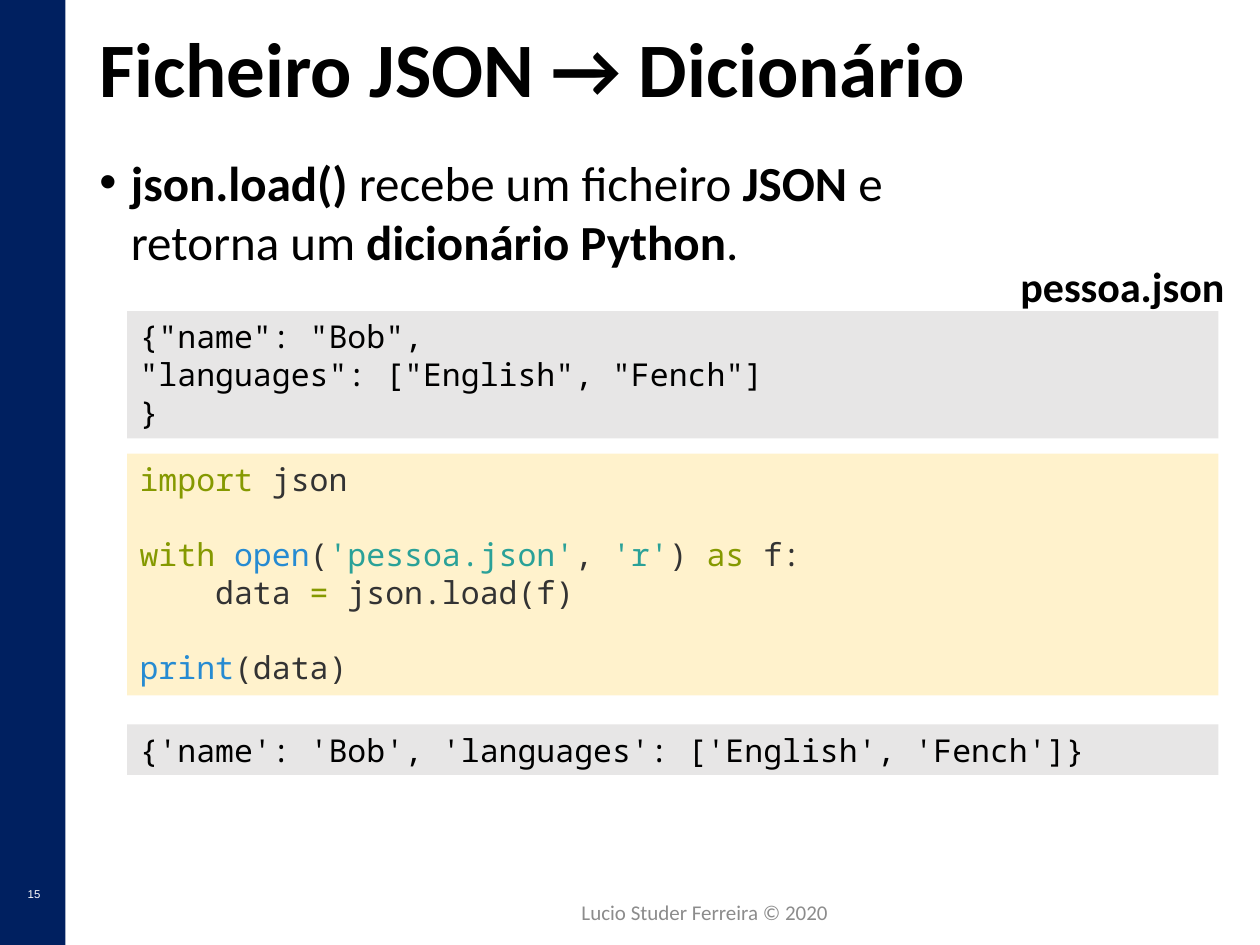
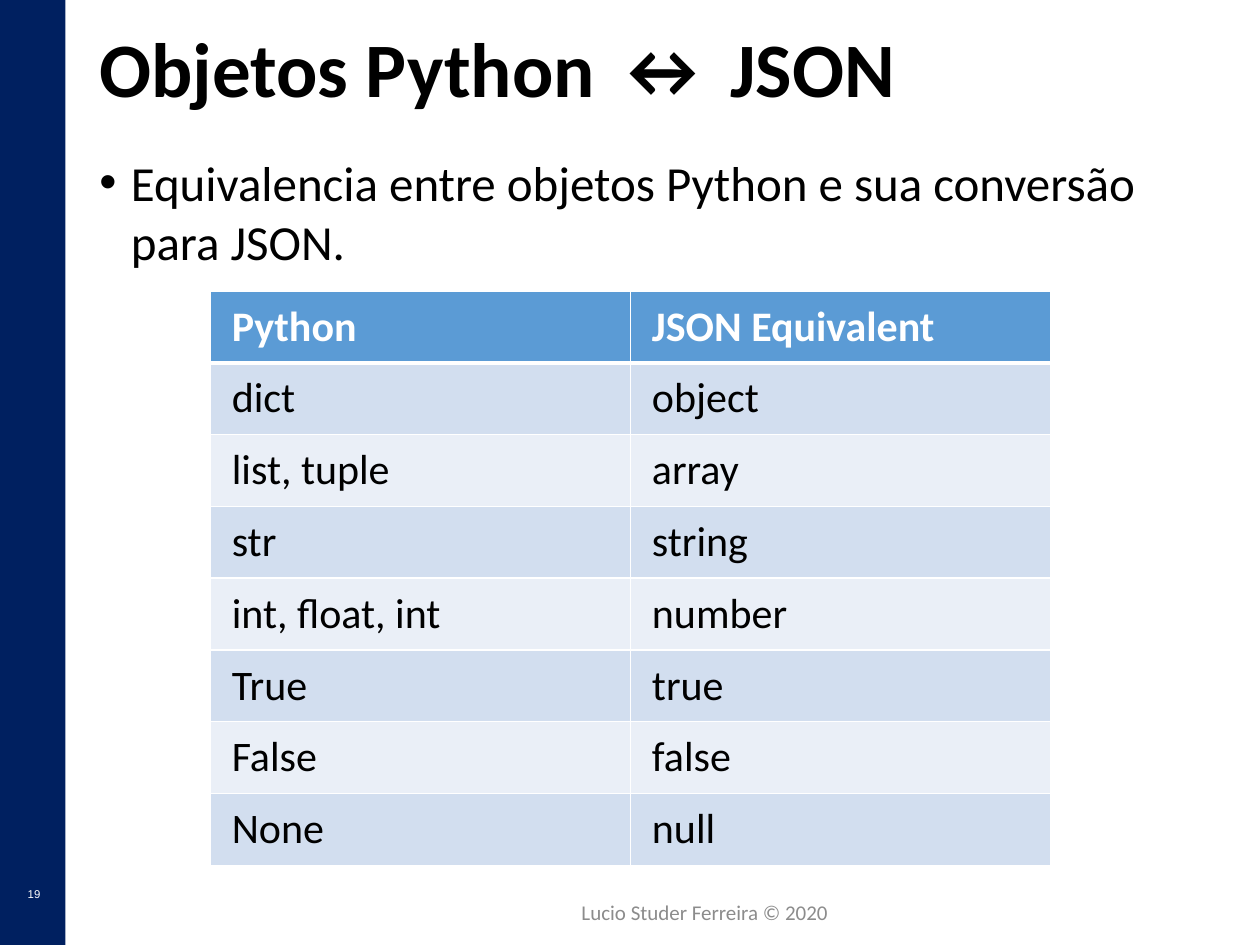
from dataclasses import dataclass

from lxml.etree import SubElement
from pptx import Presentation
from pptx.dml.color import RGBColor
from pptx.enum.shapes import MSO_SHAPE as Shape
from pptx.enum.text import MSO_ANCHOR as Anchor, PP_ALIGN as Align
from pptx.oxml import parse_xml
from pptx.oxml.ns import nsdecls, qn
from pptx.util import Inches, Pt


@dataclass(frozen=True)
class Theme:
    sans: str = "Calibri"
    mono: str = "Noto Sans Mono"
    number_font: str = "Arial"
    title_size: float = 44
    body_size: float = 28
    label_size: float = 24
    code_size: float = 18
    footer_size: float = 12
    number_size: float = 6.5
    blank_line: float = 21.5
    ink: str = "000000"
    white: str = "FFFFFF"
    band: str = "002060"
    footer: str = "8C8C8C"
    code_fill: str = "FFF2CC"
    data_fill: str = "E7E6E6"
    header_fill: str = "5B9BD5"
    row_fills: tuple = ("D2DEEF", "EAEFF7")


THEME = Theme()
SYNTAX = {"plain": "333333", "keyword": "859900", "builtin": "268BD2",
          "string": "2AA198", "data": THEME.ink}

FOOTER = "Lucio Studer Ferreira © 2020"
LOAD_TITLE = "Ficheiro JSON → Dicionário"
LOAD_POINT = [("json.load() ", True), ("recebe um ficheiro ", False),
              ("JSON ", True), ("e \vretorna um ", False),
              ("dicionário Python", True), (".", False)]
FILE_LABEL = "pessoa.json"

# Each code line: blank lines before it, indent levels, coloured parts.
FILE_LINES = [
    (0, 0, [('{"name": "Bob",', "data")]),
    (0, 0, [('"languages": ["English", "Fench"]', "data")]),
    (0, 0, [("}", "data")]),
]
PROGRAM_LINES = [
    (0, 0, [("import", "keyword"), (" json", "plain")]),
    (1, 0, [("with ", "keyword"), ("open", "builtin"), ("(", "plain"),
            ("'pessoa.json'", "string"), (", ", "plain"), ("'r'", "string"),
            (") ", "plain"), ("as", "keyword"), (" f:", "plain")]),
    (0, 1, [("data ", "plain"), ("= ", "keyword"), ("json.load(f)", "plain")]),
    (1, 0, [("print", "builtin"), ("(data)", "plain")]),
]
OUTPUT_LINES = [
    (0, 0, [("{'name': 'Bob', 'languages': ['English', 'Fench']}", "data")]),
]
CODE_BLOCKS = [
    (2.47, 1.01, THEME.data_fill, FILE_LINES),
    (3.6, 1.92, THEME.code_fill, PROGRAM_LINES),
    (5.75, 0.4, THEME.data_fill, OUTPUT_LINES),
]

TYPES_TITLE = "Objetos Python ↔ JSON"
TYPES_POINT = [("Equivalencia entre objetos Python e sua conversão para JSON.", False)]
TYPES = [
    ("Python", "JSON Equivalent"),
    ("dict", "object"),
    ("list, tuple", "array"),
    ("str", "string"),
    ("int, float, int", "number"),
    ("True", "true"),
    ("False", "false"),
    ("None", "null"),
]


def color(code):
    return RGBColor.from_string(code)


def add_span(para, text, size, ink=THEME.ink, font=THEME.sans, bold=False):
    for index, piece in enumerate(text.split("\v")):
        if index:
            para.add_line_break()
        span = para.add_run()
        span.text = piece
        span.font.size = Pt(size)
        span.font.name = font
        span.font.bold = bold
        span.font.color.rgb = color(ink)


def add_box(page, left, top, width, height, anchor=Anchor.TOP, wrap=True):
    box = page.shapes.add_textbox(*map(Inches, (left, top, width, height)))
    box.text_frame.word_wrap = wrap
    box.text_frame.vertical_anchor = anchor
    return box.text_frame.paragraphs[0]


def add_rectangle(page, left, top, width, height, fill):
    box = page.shapes.add_shape(Shape.RECTANGLE, *map(Inches, (left, top, width, height)))
    box.shadow.inherit = False
    box.fill.solid()
    box.fill.fore_color.rgb = color(fill)
    box.line.fill.background()
    return box


def add_page(deck, number, title):
    page = deck.slides.add_slide(deck.slide_layouts[6])
    add_rectangle(page, 0, 0, 0.52, 7.5, THEME.band)
    para = add_box(page, 0.03, 6.99, 0.48, 0.29)
    para.alignment = Align.CENTER
    para.space_before = Pt(8)
    add_span(para, number, THEME.number_size, THEME.white, THEME.number_font)
    para = add_box(page, 3.29, 7.04, 3.38, 0.4, Anchor.MIDDLE)
    para.alignment = Align.RIGHT
    add_span(para, FOOTER, THEME.footer_size, THEME.footer)
    para = add_box(page, 0.69, 0.13, 8.89, 0.89, Anchor.MIDDLE)
    para.line_spacing = 0.9
    add_span(para, title, THEME.title_size, bold=True)
    return page


def add_point(page, parts, width, height):
    para = add_box(page, 0.69, 1.16, width, height)
    para.space_before = para.space_after = Pt(6)
    settings = para._p.get_or_add_pPr()
    settings.set("marL", str(Inches(0.25)))
    settings.set("indent", str(-Inches(0.25)))
    SubElement(settings, qn("a:buFont"), typeface="Arial")
    SubElement(settings, qn("a:buChar"), char="•")
    for text, bold in parts:
        add_span(para, text, THEME.body_size, bold=bold)


def add_code(page, top, height, fill, lines):
    frame = add_rectangle(page, 1.01, top, 8.66, height, fill).text_frame
    frame.word_wrap = True
    frame.vertical_anchor = Anchor.TOP
    for index, (blanks, level, parts) in enumerate(lines):
        para = frame.add_paragraph() if index else frame.paragraphs[0]
        para.alignment = Align.LEFT
        para.space_before = Pt(blanks * THEME.blank_line)
        para._p.get_or_add_pPr().set("marL", str(Inches(0.6 * level)))
        for text, kind in parts:
            add_span(para, text, THEME.code_size, SYNTAX[kind], THEME.mono)


def set_borders(cell, widths):
    settings = cell._tc.get_or_add_tcPr()
    for index, (side, width) in enumerate(widths.items()):
        settings.insert(index, parse_xml(
            f'<a:ln{side} {nsdecls("a")} w="{Pt(width)}"><a:solidFill>'
            f'<a:srgbClr val="{THEME.white}"/></a:solidFill></a:ln{side}>'))


def add_types_table(page):
    row_height = 0.57
    table = page.shapes.add_table(
        len(TYPES), 2, Inches(1.67), Inches(2.31),
        Inches(6.67), Inches(row_height * len(TYPES))).table
    for row, names in enumerate(TYPES):
        table.rows[row].height = Inches(row_height)
        header = row == 0
        for column, name in enumerate(names):
            cell = table.cell(row, column)
            cell.vertical_anchor = Anchor.MIDDLE
            cell.margin_left = cell.margin_right = Inches(0.17)
            cell.margin_top = cell.margin_bottom = Inches(0.08)
            cell.fill.solid()
            cell.fill.fore_color.rgb = color(
                THEME.header_fill if header else THEME.row_fills[(row - 1) % 2])
            set_borders(cell, {"L": 1, "R": 1, "T": 3 if row == 1 else 1,
                               "B": 3 if header else 1})
            add_span(cell.text_frame.paragraphs[0], name, THEME.label_size,
                     THEME.white if header else THEME.ink, bold=header)


def build_load_page(deck):
    page = add_page(deck, "15", LOAD_TITLE)
    add_point(page, LOAD_POINT, 9.31, 5.59)
    for block in CODE_BLOCKS:
        add_code(page, *block)
    label = add_box(page, 8, 2.02, 1.84, 0.5, wrap=False)
    add_span(label, FILE_LABEL, THEME.label_size, bold=True)


def build_types_page(deck):
    page = add_page(deck, "19", TYPES_TITLE)
    add_types_table(page)
    add_point(page, TYPES_POINT, 8.89, 1.45)


def main():
    deck = Presentation()
    deck.slide_width, deck.slide_height = Inches(10), Inches(7.5)
    build_load_page(deck)
    build_types_page(deck)
    deck.save("out.pptx")


if __name__ == "__main__":
    main()
